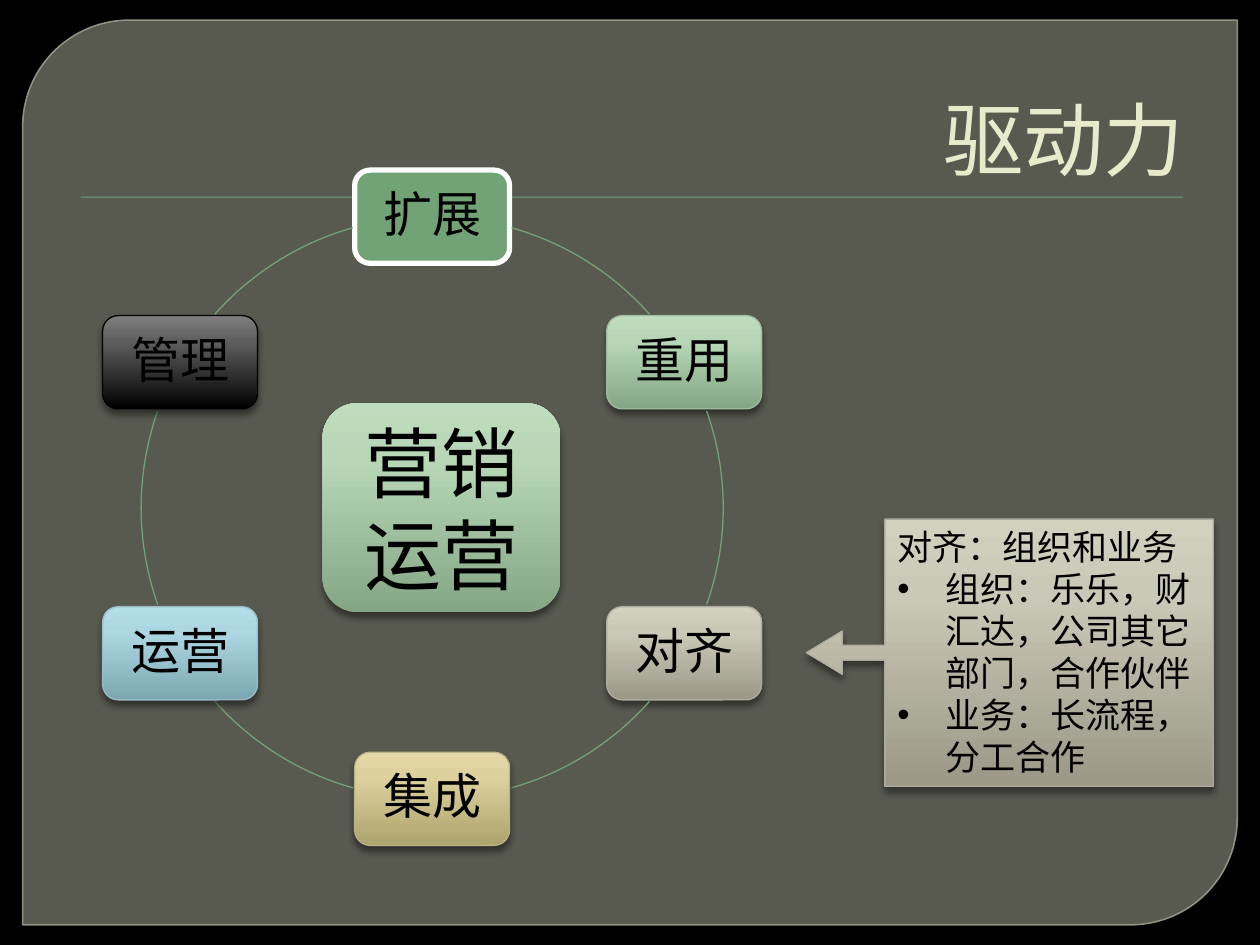
from math import cos, radians, sin

from lxml import etree
from pptx import Presentation
from pptx.dml.color import RGBColor
from pptx.enum.shapes import MSO_SHAPE as SHAPE
from pptx.enum.text import MSO_ANCHOR as ANCHOR, PP_ALIGN as ALIGN
from pptx.oxml import parse_xml
from pptx.oxml.ns import nsdecls, qn
from pptx.util import Inches, Pt

BLACK = RGBColor(0x00, 0x00, 0x00)
WHITE = RGBColor(0xFF, 0xFF, 0xFF)
PANEL = RGBColor(0x88, 0x8B, 0x7B)
PANEL_LINE = RGBColor(0x9D, 0xA0, 0x90)
CREAM = RGBColor(0xE7, 0xEA, 0xCB)
GREEN = RGBColor(0x72, 0xA3, 0x76)
MINT_LINE = RGBColor(0xA0, 0xB9, 0xA0)
STONE_LINE = RGBColor(0xAE, 0xAC, 0x9F)
SAND_LINE = RGBColor(0xBB, 0xB3, 0x89)
SKY_LINE = RGBColor(0x98, 0xBA, 0xC3)
MINT = [RGBColor(0x85, 0xA7, 0x85), RGBColor(0xB6, 0xD6, 0xB6), RGBColor(0xBE, 0xDD, 0xBE)]
STONE = [RGBColor(0x9B, 0x98, 0x87), RGBColor(0xCA, 0xC8, 0xB7), RGBColor(0xD2, 0xD0, 0xBF)]
SAND = [RGBColor(0xAD, 0xA3, 0x6C), RGBColor(0xDC, 0xD1, 0x9D), RGBColor(0xE4, 0xD9, 0xA8)]
SKY = [RGBColor(0x7B, 0xA7, 0xB3), RGBColor(0xAC, 0xD7, 0xE2), RGBColor(0xB4, 0xDD, 0xE9)]
COAL = [BLACK, RGBColor(0x5E, 0x5E, 0x5E), RGBColor(0x7F, 0x7F, 0x7F)]


def write(p, text, size=28, color=BLACK, font="Arial", align=ALIGN.CENTER, spacing=None, bullet=False):
    p.alignment = align
    p.line_spacing = spacing
    r = p.add_run()
    r.text = text
    r.font.size = Pt(size)
    r.font.name = font
    r.font.color.rgb = color
    if bullet:
        pPr = p._p.get_or_add_pPr()
        pPr.set("marL", str(Inches(0.38)))
        pPr.set("indent", str(-Inches(0.38)))
        etree.SubElement(pPr, qn("a:buFont")).set("typeface", "Arial")
        etree.SubElement(pPr, qn("a:buChar")).set("char", "•")


def add(kind, x, y, w, h, fill=None, line=None, width=0.75, shadow=None):
    sp = s.shapes.add_shape(kind, Inches(x), Inches(y), Inches(w), Inches(h))
    sp.shadow.inherit = False
    spPr = sp._element.spPr
    if isinstance(fill, list):
        stops = "".join(
            f'<a:gs pos="{pos}"><a:srgbClr val="{c}"/></a:gs>'
            for pos, c in zip((0, 72000, 100000), fill))
        spPr.find(qn("a:prstGeom")).addnext(parse_xml(
            f'<a:gradFill {nsdecls("a")} rotWithShape="1"><a:gsLst>{stops}</a:gsLst>'
            '<a:lin ang="16200000" scaled="0"/></a:gradFill>'))
    elif fill is None:
        sp.fill.background()
    else:
        sp.fill.solid()
        sp.fill.fore_color.rgb = fill
    if line is None:
        sp.line.fill.background()
    else:
        sp.line.color.rgb = line
        sp.line.width = Pt(width)
    if shadow:
        blur, dist, alpha = shadow
        spPr.find(qn("a:effectLst")).append(parse_xml(
            f'<a:outerShdw {nsdecls("a")} blurRad="{Pt(blur)}" dist="{Pt(dist)}" dir="5400000" '
            f'rotWithShape="0"><a:srgbClr val="000000"><a:alpha val="{alpha * 1000}"/>'
            '</a:srgbClr></a:outerShdw>'))
    return sp


prs = Presentation()
prs.slide_width, prs.slide_height = Inches(10), Inches(7.5)
s = prs.slides.add_slide(prs.slide_layouts[5])
s.background.fill.solid()
s.background.fill.fore_color.rgb = BLACK
SOFT = (4, 3, 43)

panel = add(SHAPE.ROUND_2_DIAG_RECTANGLE, 0.18, 0.16, 9.64, 7.18, PANEL, PANEL_LINE, 0.87)
panel.adjustments[0] = 0.118
panel.adjustments[1] = 0
for clr, alpha in zip(panel._element.spPr.iter(qn("a:srgbClr")), (65000, 88000)):
    etree.SubElement(clr, qn("a:alpha")).set("val", str(alpha))
add(SHAPE.RECTANGLE, 0.64, 1.56, 8.75, 0.01, GREEN, shadow=(1, 1, 75))

title = s.shapes.title
s.shapes._spTree.append(title._element)
title.left, title.top, title.width, title.height = Inches(0.5), Inches(0.28), Inches(9), Inches(1.25)
title.text_frame.vertical_anchor = ANCHOR.BOTTOM
write(title.text_frame.paragraphs[0], "驱动力", size=46, color=CREAM,
      font="Roboto Slab", align=ALIGN.RIGHT)

CX, CY, RADIUS = 3.43, 4.03, 2.31
NODE_W, NODE_H = 1.23, 0.74
nodes = [
    ("扩展", GREEN, WHITE, 3, None),
    ("重用", MINT, MINT_LINE, 0.75, SOFT),
    ("对齐", STONE, STONE_LINE, 0.75, SOFT),
    ("集成", SAND, SAND_LINE, 0.75, SOFT),
    ("运营", SKY, SKY_LINE, 0.75, SOFT),
    ("管理", COAL, BLACK, 0.75, SOFT),
]
arcs = [(285.8, 318.3), (340.6, 19.4), (41.7, 74.2),
        (105.8, 138.3), (160.6, 199.4), (221.7, 254.2)]
for i, ((text, fill, line, width, shadow), ends) in enumerate(zip(nodes, arcs)):
    angle = radians(60 * i - 90)
    x = CX + RADIUS * cos(angle) - NODE_W / 2
    y = CY + RADIUS * sin(angle) - NODE_H / 2
    sp = add(SHAPE.ROUNDED_RECTANGLE, x, y, NODE_W, NODE_H, fill, line, width, shadow)
    tf = sp.text_frame
    tf.vertical_anchor = ANCHOR.MIDDLE
    write(tf.paragraphs[0], text, spacing=0.9)
    arc = add(SHAPE.ARC, CX - RADIUS, CY - RADIUS, 2 * RADIUS, 2 * RADIUS, line=GREEN)
    for j, degrees in enumerate(ends):
        arc.adjustments[j] = degrees * 0.6

hub = add(SHAPE.ROUNDED_RECTANGLE, 2.56, 3.2, 1.89, 1.66, MINT, shadow=SOFT)
tf = hub.text_frame
tf.word_wrap = False
tf.vertical_anchor = ANCHOR.MIDDLE
write(tf.paragraphs[0], "营销", size=44)
write(tf.add_paragraph(), "运营", size=44)

callout = add(SHAPE.LEFT_ARROW_CALLOUT, 6.4, 4.12, 3.23, 2.12, STONE, STONE_LINE, shadow=SOFT)
for i, value in enumerate((0.055, 0.081, 0.134, 0.807)):
    callout.adjustments[i] = value
tf = callout.text_frame
tf.word_wrap = True
tf.vertical_anchor = ANCHOR.TOP
write(tf.paragraphs[0], "对齐：组织和业务", size=20, align=ALIGN.LEFT)
for text in ("组织：乐乐，财汇达，公司其它部门，合作伙伴", "业务：长流程，分工合作"):
    write(tf.add_paragraph(), text, size=20, align=ALIGN.LEFT, bullet=True)

prs.save("out.pptx")
